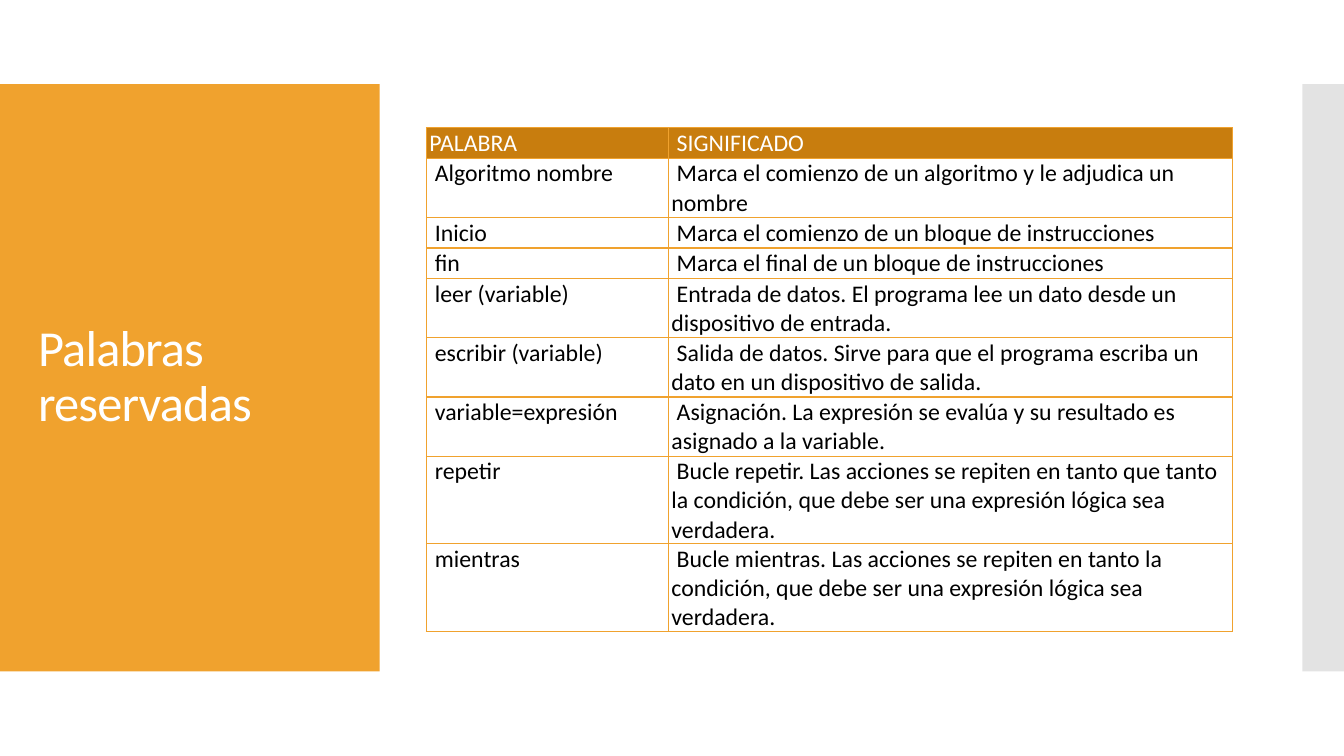
import pptx
import pptx.dml.color
import pptx.enum.shapes
import pptx.enum.text
import pptx.oxml
import pptx.oxml.ns
import pptx.util

Pt = pptx.util.Pt
RGBColor = pptx.dml.color.RGBColor

ORANGE = RGBColor(0xF0, 0xA2, 0x2E)
DARK_ORANGE = RGBColor(0xC8, 0x7D, 0x0E)
GREY = RGBColor(0xC8, 0xC8, 0xC8)
WHITE = RGBColor(0xFF, 0xFF, 0xFF)
BLACK = RGBColor(0, 0, 0)
FONT = "Calibri"
NBSP = " "
LINE_HEIGHT = 20.16
CELL_MARGIN_X, CELL_MARGIN_Y = 2.16, 0.72

HEADER = ("PALABRA", NBSP + "SIGNIFICADO")
# Word, meaning, number of text lines
RESERVED_WORDS = [
    ("Algoritmo nombre", "Marca el comienzo de un algoritmo y le adjudica un nombre", 2),
    ("Inicio", "Marca el comienzo de un bloque de instrucciones", 1),
    ("fin", "Marca el final de un bloque de instrucciones", 1),
    ("leer (variable)",
     "Entrada de datos. El programa lee un dato desde un dispositivo de entrada.", 2),
    ("escribir (variable)",
     "Salida de datos. Sirve para que el programa escriba un dato en un dispositivo de salida.", 2),
    ("variable=expresión",
     "Asignación. La expresión se evalúa y su resultado es asignado a la variable.", 2),
    ("repetir",
     "Bucle repetir. Las acciones se repiten en tanto que tanto la condición, "
     "que debe ser una expresión lógica sea verdadera.", 3),
    ("mientras",
     "Bucle mientras. Las acciones se repiten en tanto la condición, "
     "que debe ser una expresión lógica sea verdadera.", 3),
]


def style_run(run, size, color):
    run.font.name = FONT
    run.font.size = Pt(size)
    run.font.color.rgb = color


def add_panel(slide, left, top, width, height, color):
    panel = slide.shapes.add_shape(
        pptx.enum.shapes.MSO_SHAPE.RECTANGLE, Pt(left), Pt(top), Pt(width), Pt(height))
    panel.shadow.inherit = False
    panel.fill.solid()
    panel.fill.fore_color.rgb = color
    panel.line.fill.background()
    return panel


def add_title_panel(slide, left, top, width, height):
    add_panel(slide, left, top, width, height, ORANGE)
    title = slide.shapes.add_textbox(
        Pt(left + 20.16), Pt(top + 28.8), Pt(width - 39.6), Pt(height - 57.6))
    frame = title.text_frame
    frame.word_wrap = True
    frame.vertical_anchor = pptx.enum.text.MSO_ANCHOR.MIDDLE
    frame.text = "Palabras reservadas"
    paragraph = frame.paragraphs[0]
    paragraph.line_spacing = 0.9
    style_run(paragraph.runs[0], 36, WHITE)
    paragraph.runs[0].font._element.set("spc", "-60")


def add_edge_panel(slide, left, top, width, height):
    """Half-transparent grey strip."""
    panel = add_panel(slide, left, top, width, height, GREY)
    color = panel.fill._xPr.find(".//" + pptx.oxml.ns.qn("a:srgbClr"))
    color.append(pptx.oxml.parse_xml(
        f'<a:alpha {pptx.oxml.ns.nsdecls("a")} val="50000"/>'))


def set_borders(cell):
    properties = cell._tc.get_or_add_tcPr()
    for position, side in enumerate(("lnL", "lnR", "lnT", "lnB")):
        properties.insert(position, pptx.oxml.parse_xml(
            f'<a:{side} {pptx.oxml.ns.nsdecls("a")} w="12700"><a:solidFill>'
            f'<a:srgbClr val="{ORANGE}"/></a:solidFill></a:{side}>'))


def fill_cell(cell, text, is_header):
    cell.margin_left = cell.margin_right = Pt(CELL_MARGIN_X)
    cell.margin_top = cell.margin_bottom = Pt(CELL_MARGIN_Y)
    if is_header:
        cell.fill.solid()
        cell.fill.fore_color.rgb = DARK_ORANGE
    else:
        cell.fill.background()
    set_borders(cell)
    cell.text_frame.text = text
    style_run(cell.text_frame.paragraphs[0].runs[0], 17, WHITE if is_header else BLACK)


def add_words_table(slide, left, top, width):
    rows = [(*HEADER, 1)] + [
        (NBSP + word, NBSP + meaning, lines) for word, meaning, lines in RESERVED_WORDS]
    heights = [lines * LINE_HEIGHT + 2 * CELL_MARGIN_Y for _, _, lines in rows]
    table = slide.shapes.add_table(
        len(rows), 2, Pt(left), Pt(top), Pt(width), Pt(sum(heights))).table
    table.horz_banding = False
    for column, share in zip(table.columns, (0.3, 0.7)):
        column.width = Pt(width * share)
    for index, (*texts, _) in enumerate(rows):
        table.rows[index].height = Pt(heights[index])
        for cell, text in zip(table.rows[index].cells, texts):
            fill_cell(cell, text, index == 0)


def main():
    presentation = pptx.Presentation()
    presentation.slide_width, presentation.slide_height = Pt(960), Pt(540)
    slide = presentation.slides.add_slide(presentation.slide_layouts[6])
    add_title_panel(slide, 0, 60, 271.2, 419.5)
    add_edge_panel(slide, 930.2, 60, 29.8, 419.5)
    add_words_table(slide, 304.6, 91.2, 576)
    presentation.save("out.pptx")


if __name__ == "__main__":
    main()
